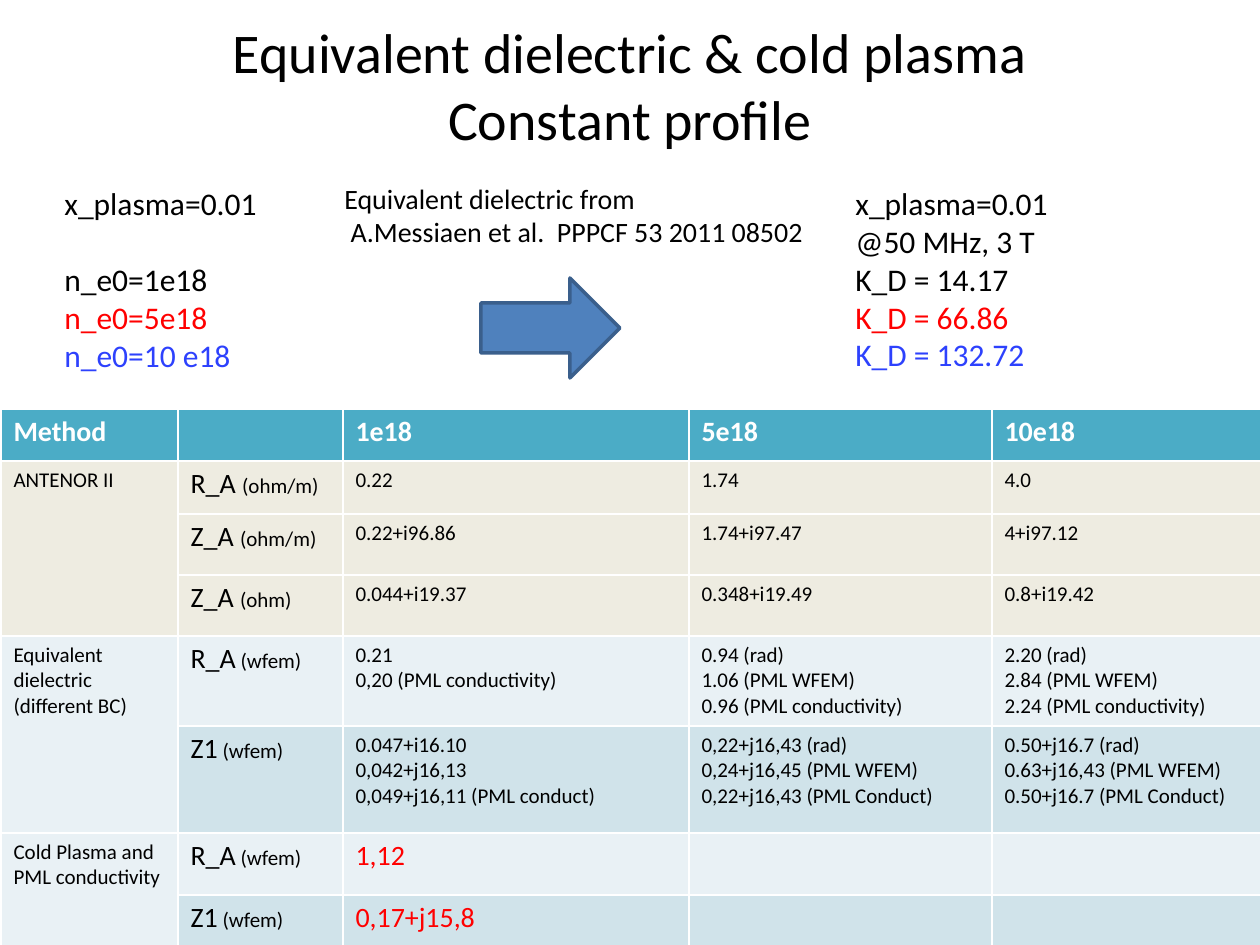
import pptx
import pptx.util
import pptx.dml.color
import pptx.enum.shapes
import pptx.enum.text

COLORS = {
    "black": "000000", "white": "FFFFFF", "red": "FF0000", "blue": "2D41FD",
    "arrow": "4F81BD", "arrow_edge": "3A5F8C", "header": "4BACC6",
    "sand": "EEECE1", "pale": "E9F1F5", "mist": "D0E3EA",
}
EMU_PER_PX = 914400 / 126


def px(*lengths):
    return [pptx.util.Emu(round(n * EMU_PER_PX)) for n in lengths]


def add_run(paragraph, text, size, color="black", bold=False):
    run = paragraph.add_run()
    run.text = text
    font_format = {"name": "Calibri", "size": pptx.util.Pt(size), "bold": bold}
    for attribute, value in font_format.items():
        setattr(run.font, attribute, value)
    run.font.color.rgb = pptx.dml.color.RGBColor.from_string(COLORS[color])


deck = pptx.Presentation()
deck.slide_width, deck.slide_height = px(1260, 945)
slide = deck.slides.add_slide(deck.slide_layouts[5])

# Title
title = slide.shapes.title
title.left, title.top, title.width, title.height = px(63, 6, 1134, 158)
title_lines = title.text_frame.paragraphs[0]
title_lines.alignment = pptx.enum.text.PP_ALIGN.CENTER
add_run(title_lines, "Equivalent dielectric & cold plasma", 32)
title_lines.add_line_break()
add_run(title_lines, "Constant profile", 32)

# Plasma inputs, dielectric constants and reference: (text, colour, space before)
notes = [
    ((52, 178, 272, 204), 18, [
        ("x_plasma=0.01", "black", 0), ("n_e0=1e18", "black", 22),
        ("n_e0=5e18", "red", 0), ("n_e0=10 e18", "blue", 0)]),
    ((843, 178, 272, 204), 18, [
        ("x_plasma=0.01", "black", 0), ("@50 MHz, 3 T", "black", 0),
        ("K_D = 14.17", "black", 0), ("K_D = 66.86", "red", 0),
        ("K_D = 132.72", "blue", 0)]),
    ((332, 175, 502, 81), 16, [
        ("Equivalent dielectric from", "black", 0),
        ("\u00a0A.Messiaen et al.  PPPCF 53 2011 08502", "black", 0)]),
]
for box, size, lines in notes:
    note = slide.shapes.add_textbox(*px(*box)).text_frame
    note.word_wrap = True
    for index, (text, color, gap) in enumerate(lines):
        paragraph = note.add_paragraph() if index else note.paragraphs[0]
        paragraph.space_before = pptx.util.Pt(gap)
        add_run(paragraph, text, size, color)

# Arrow from plasma to dielectric
arrow = slide.shapes.add_shape(
    pptx.enum.shapes.MSO_SHAPE.RIGHT_ARROW, *px(481, 278, 139, 100))
arrow.shadow.inherit = False
arrow.fill.solid()
arrow.fill.fore_color.rgb = pptx.dml.color.RGBColor.from_string(COLORS["arrow"])
arrow.line.color.rgb = pptx.dml.color.RGBColor.from_string(COLORS["arrow_edge"])
arrow.line.width = pptx.util.Pt(2)

# Results: row height, fill of the method cell, fill of the rest, texts
# In the quantity column "|" divides the symbol from its unit
results = [
    (52, "header", "header", ["Method", "", "1e18", "5e18", "10e18"]),
    (53, "sand", "sand", ["ANTENOR II", "R_A |(ohm/m)", "0.22", "1.74", "4.0"]),
    (61, "sand", "sand",
     ["", "Z_A |(ohm/m)", "0.22+i96.86", "1.74+i97.47", "4+i97.12"]),
    (61, "sand", "sand",
     ["", "Z_A |(ohm)", "0.044+i19.37", "0.348+i19.49", "0.8+i19.42"]),
    (90, "pale", "pale",
     ["Equivalent dielectric (different BC)", "R_A| (wfem)",
      "0.21\n0,20 (PML conductivity)",
      "0.94 (rad)\n1.06 (PML WFEM)\n0.96 (PML conductivity)",
      "2.20 (rad)\n2.84 (PML WFEM)\n2.24 (PML conductivity)"]),
    (107, "pale", "mist",
     ["", "Z1| (wfem)",
      "0.047+i16.10\n0,042+j16,13\n0,049+j16,11 (PML conduct)",
      "0,22+j16,43 (rad)\n0,24+j16,45 (PML WFEM)\n0,22+j16,43 (PML Conduct)",
      "0.50+j16.7 (rad)\n0.63+j16,43 (PML WFEM)\n0.50+j16.7 (PML Conduct)"]),
    (62, "pale", "pale",
     ["Cold Plasma and PML conductivity", "R_A| (wfem)", "1,12", "", ""]),
    (49, "pale", "mist", ["", "Z1| (wfem)", "0,17+j15,8", "", ""]),
]
column_widths = [177, 165, 346, 303, 271]
results_table = slide.shapes.add_table(
    len(results), len(column_widths),
    *px(1, 409, sum(column_widths), sum(row[0] for row in results))).table
for column, width in zip(results_table.columns, px(*column_widths)):
    column.width = width

for r, (height, method_fill, row_fill, texts) in enumerate(results):
    results_table.rows[r].height = px(height)[0]
    for c, text in enumerate(texts):
        cell = results_table.cell(r, c)
        cell.fill.solid()
        cell.fill.fore_color.rgb = pptx.dml.color.RGBColor.from_string(
            COLORS[row_fill if c else method_fill])
        for index, line in enumerate(text.split("\n")):
            frame = cell.text_frame
            paragraph = frame.add_paragraph() if index else frame.paragraphs[0]
            if r == 0:
                add_run(paragraph, line, 16, "white", True)
            elif c == 1:
                symbol, unit = line.split("|")
                add_run(paragraph, symbol, 16)
                add_run(paragraph, unit, 12)
            elif r >= 6 and c == 2:
                add_run(paragraph, line, 16, "red")
            else:
                add_run(paragraph, line, 12)

# Each method spans its rows
for first, last in [(1, 3), (4, 5), (6, 7)]:
    results_table.cell(first, 0).merge(results_table.cell(last, 0))

deck.save("out.pptx")
